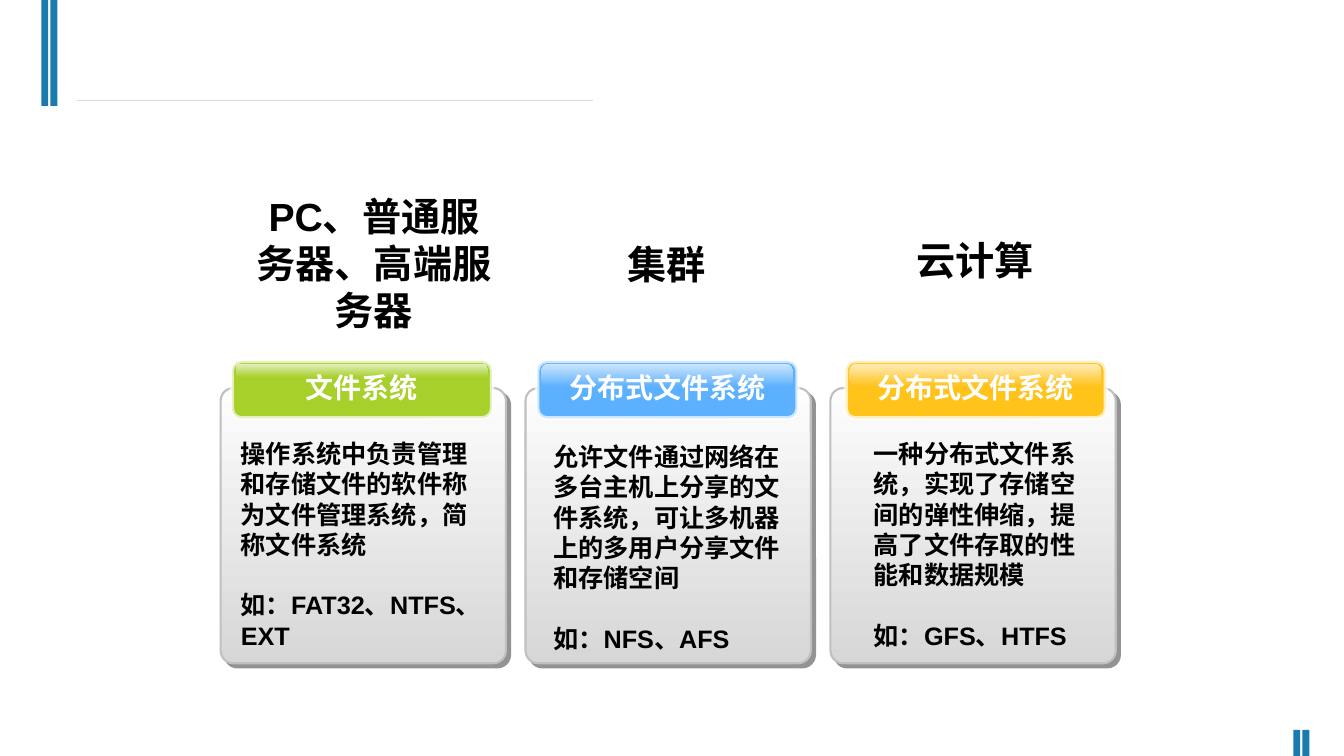
import pptx
import pptx.util
import pptx.dml.color
import pptx.enum.shapes
import pptx.enum.text
import pptx.oxml
import pptx.oxml.ns
from lxml import etree

Pt = pptx.util.Pt
RGB = pptx.dml.color.RGBColor
KIND = pptx.enum.shapes.MSO_SHAPE
ALIGN = pptx.enum.text.PP_ALIGN
qn = pptx.oxml.ns.qn

BLUE = RGB(0x1A, 0x7B, 0xAE)
RULE = RGB(0xD9, 0xD9, 0xD9)
PALE = RGB(0xFD, 0xFD, 0xFD)
GREY = RGB(0xD7, 0xD7, 0xD7)
EDGE = RGB(0xC0, 0xC0, 0xC0)
DARK = RGB(0x29, 0x29, 0x29)
WHITE = RGB(0xFF, 0xFF, 0xFF)
BLACK = RGB(0, 0, 0)
GREEN = RGB(0xA8, 0xD0, 0x2A)
SKY = RGB(0x5C, 0xB1, 0xFE)
GOLD = RGB(0xFF, 0xC3, 0x19)

CARD_X, STEP = 157.6, 217.8

# Per column: colour, tab left, gloss height, label,
# heading with box and wrap, body box, body paragraphs
COLUMNS = [
    (GREEN, 165.6, 10, "文件系统",
     "PC、普通服务器、高端服务器", (171.4, 133.9, 191.5, 108.7), True,
     (164.9, 309.6, 190, 160),
     ["操作系统中负责管理和存储文件的软件称为文件管理系统，简称文件系统",
      "如：FAT32、NTFS、EXT"]),
    (SKY, 383.8, 16.6, "分布式文件系统",
     "集群", (440.6, 167.8, 71.3, 41), False,
     (388.1, 311.8, 180, 160),
     ["允许文件通过网络在多台主机上分享的文件系统，可让多机器上的多用户分享文件和存储空间",
      "如：NFS、AFS"]),
    (GOLD, 604.1, 16.6, "分布式文件系统",
     "云计算", (646.6, 165.6, 99.4, 41), False,
     (617, 309.6, 169.2, 160),
     ["一种分布式文件系统，实现了存储空间的弹性伸缩，提高了文件存取的性能和数据规模",
      "如：GFS、HTFS"]),
]


def fade(root, share):
    for tone in root.iter(qn("a:srgbClr")):
        etree.SubElement(tone, qn("a:alpha"), val=str(share * 1000))


def add_box(slide, kind, box, fill, edge=None, width=0, adj=None):
    """Add a shape; a pair of colours as fill makes a vertical gradient."""
    shape = slide.shapes.add_shape(kind, *map(Pt, box))
    shape.shadow.inherit = False
    if adj is not None:
        shape.adjustments[0] = adj
    if isinstance(fill, list):
        shape.fill.gradient()
        shape.fill.gradient_angle = 270
        for stop, tone in zip(shape.fill.gradient_stops, fill):
            stop.color.rgb = tone
    else:
        shape.fill.solid()
        shape.fill.fore_color.rgb = fill
    if edge is None:
        shape.line.fill.background()
    else:
        shape.line.color.rgb = edge
        shape.line.width = Pt(width)
    return shape


def add_text(slide, box, paras, size, color=BLACK, align=ALIGN.LEFT, wrap=True):
    frame = slide.shapes.add_textbox(*map(Pt, box)).text_frame
    frame.word_wrap = wrap
    frame.auto_size = pptx.enum.text.MSO_AUTO_SIZE.SHAPE_TO_FIT_TEXT
    for i, text in enumerate(paras):
        para = frame.add_paragraph() if i else frame.paragraphs[0]
        para.alignment = align
        if i:
            para.space_before = Pt(21.6)
        run = para.add_run()
        run.text = text
        run.font.name = "Arial"
        run.font.size = Pt(size)
        run.font.bold = True
        run.font.color.rgb = color


def add_rule(slide, left, right, y):
    line = slide.shapes.add_connector(
        pptx.enum.shapes.MSO_CONNECTOR.STRAIGHT, Pt(left), Pt(y), Pt(right), Pt(y))
    line.line.color.rgb = RULE
    line.line.width = Pt(0.75)
    etree.SubElement(line.element.spPr, qn("a:effectLst"))


def add_card(slide, left):
    card = add_box(slide, KIND.ROUNDED_RECTANGLE, (left, 277.2, 203.8, 196.6),
                   [PALE, GREY], EDGE, 1.5, 0.046)
    effects = card.element.spPr.find(qn("a:effectLst"))
    cast = etree.SubElement(effects, qn("a:outerShdw"), blurRad="0",
                            dist=str(Pt(4.2)), dir="2700000",
                            algn="ctr", rotWithShape="0")
    etree.SubElement(cast, qn("a:srgbClr"), val=str(DARK))
    fade(cast, 50)


def add_tab(slide, left, color, gloss, label):
    tab = add_box(slide, KIND.ROUNDED_RECTANGLE, (left, 257.8, 185.8, 41),
                  color, WHITE, 3, 0.167)
    fade(tab.element.spPr.find(qn("a:ln")), 70)
    shine = add_box(slide, KIND.ROUNDED_RECTANGLE, (left + 3, 260, 179.3, gloss),
                    [WHITE, color], adj=0.284)
    fade(shine.element.spPr, 70)
    add_text(slide, (left + 14.4, 261.4, 157, 31.7), [label], 20,
             WHITE, ALIGN.CENTER, False)


def main():
    deck = pptx.Presentation()
    deck.slide_width, deck.slide_height = Pt(960), Pt(540)
    slide = deck.slides.add_slide(deck.slide_layouts[6])

    # Corner bars and top rule
    for left, top, height in ((29.5, 0, 75.6), (923.8, 521.3, 18.7)):
        for shift in (0, 6.5):
            add_box(slide, KIND.RECTANGLE, (left + shift, top, 5, height), BLUE)
    add_rule(slide, 54.9, 423.4, 71.5)

    # Three columns
    for i, column in enumerate(COLUMNS):
        color, left, gloss, label, head, spot, wrap, area, body = column
        add_card(slide, CARD_X + i * STEP)
        add_tab(slide, left, color, gloss, label)
        add_text(slide, spot, [head], 28, align=ALIGN.CENTER, wrap=wrap)
        add_text(slide, area, body, 18)

    deck.save("out.pptx")


if __name__ == "__main__":
    main()
